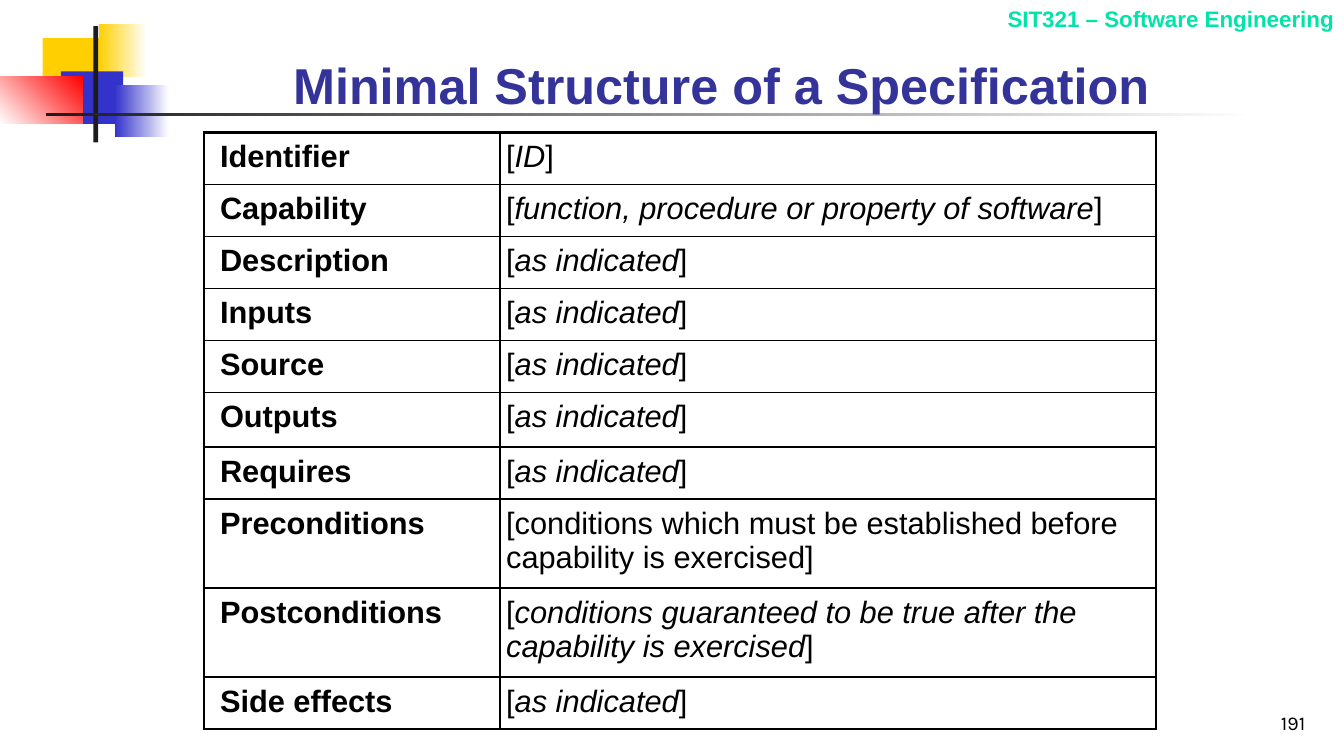
from dataclasses import dataclass

from lxml import etree
from pptx import Presentation
from pptx.dml import color as dml
from pptx.enum import text as enums
from pptx.enum import shapes
from pptx.oxml import ns
from pptx.slide import Slide
from pptx.table import _Cell
from pptx.text import text as words
from pptx.util import Pt


@dataclass(frozen=True)
class Theme:
    yellow: str = "FFCF01"
    blue: str = "3333CC"
    red: str = "FF0000"
    dark: str = "1C1C1C"
    white: str = "FFFFFF"
    black: str = "000000"
    course: str = "00E4A8"
    title: str = "333399"
    body_font: str = "Arial"
    number_font: str = "Karla"
    course_size: float = 16
    number_size: float = 14
    title_size: float = 36
    table_size: float = 22
    outer_border: float = 2.25
    inner_border: float = 1


@dataclass(frozen=True)
class Block:
    left: float
    top: float
    width: float
    height: float
    colors: tuple[str, ...]
    angle: float = 0


@dataclass(frozen=True)
class Label:
    left: float
    top: float
    width: float
    height: float
    text: str
    font: str
    size: float
    color: str
    bold: bool
    align: enums.PP_ALIGN
    anchor: enums.MSO_ANCHOR


@dataclass(frozen=True)
class Entry:
    name: str
    value: str = "as indicated"
    italic: bool = True
    height: float = 36.2


THEME = Theme()
RIGHT, LEFT = enums.PP_ALIGN.RIGHT, enums.PP_ALIGN.LEFT
TOP, BOTTOM = enums.MSO_ANCHOR.TOP, enums.MSO_ANCHOR.BOTTOM

BLOCKS = [
    Block(30.5, 27.2, 46, 37.5, (THEME.yellow,)),
    Block(70.5, 17.5, 34.5, 37.5, (THEME.yellow, THEME.white)),
    Block(43.5, 51, 44.5, 37.5, (THEME.blue,)),
    Block(82, 60.5, 38.5, 37.5, (THEME.blue, THEME.white)),
    Block(0, 54.5, 59, 33.5, (THEME.white, THEME.red), 45),
    Block(66.7, 18.7, 3.5, 83, (THEME.dark,)),
    Block(33, 80.6, 864, 2.2, (THEME.dark, THEME.white)),
]

LABELS = [
    Label(578, 0, 382, 26.6, "SIT321 – Software Engineering", THEME.body_font,
          THEME.course_size, THEME.course, True, RIGHT, TOP),
    Label(739.5, 492, 200, 36, "191", THEME.number_font,
          THEME.number_size, THEME.black, False, RIGHT, BOTTOM),
    Label(202.3, 31.7, 626.4, 54, "Minimal Structure of a Specification",
          THEME.body_font, THEME.title_size, THEME.title, True, LEFT, BOTTOM),
]

ENTRIES = [
    Entry("Identifier", "ID"),
    Entry("Capability", "function, procedure or property of software"),
    Entry("Description"),
    Entry("Inputs"),
    Entry("Source"),
    Entry("Outputs", height=38.9),
    Entry("Requires"),
    Entry("Preconditions",
          "conditions which must be established before capability is exercised",
          italic=False, height=60.3),
    Entry("Postconditions",
          "conditions guaranteed to be true after the capability is exercised",
          height=60.3),
    Entry("Side effects"),
]

TABLE_LEFT, TABLE_TOP = 145.7, 94.4
COLUMN_WIDTHS = (211.4, 468.7)
CELL_INSETS = (11.5, 4.5)


def style_font(font: words.Font, name: str, size: float, color: str, bold: bool) -> None:
    font.name = name
    font.size = Pt(size)
    font.bold = bold
    font.color.rgb = dml.RGBColor.from_string(color)


def draw_block(slide: Slide, block: Block) -> None:
    shape = slide.shapes.add_shape(
        shapes.MSO_SHAPE.RECTANGLE,
        Pt(block.left), Pt(block.top), Pt(block.width), Pt(block.height))
    shape.shadow.inherit = False
    shape.line.fill.background()
    if len(block.colors) == 1:
        shape.fill.solid()
        shape.fill.fore_color.rgb = dml.RGBColor.from_string(block.colors[0])
        return
    shape.fill.gradient()
    shape.fill.gradient_angle = block.angle
    for stop, color in zip(shape.fill.gradient_stops, block.colors):
        stop.color.rgb = dml.RGBColor.from_string(color)


def draw_label(slide: Slide, label: Label) -> None:
    text_frame = slide.shapes.add_textbox(
        Pt(label.left), Pt(label.top), Pt(label.width), Pt(label.height)).text_frame
    text_frame.word_wrap = True
    text_frame.vertical_anchor = label.anchor
    text_frame.text = label.text
    paragraph = text_frame.paragraphs[0]
    paragraph.alignment = label.align
    style_font(paragraph.runs[0].font, label.font, label.size, label.color, label.bold)


def set_borders(cell: _Cell, outer_sides: set[str]) -> None:
    properties = cell._tc.get_or_add_tcPr()
    for side in "LRTB":
        width = THEME.outer_border if side in outer_sides else THEME.inner_border
        line = etree.SubElement(properties, ns.qn(f"a:ln{side}"), w=str(Pt(width)))
        fill = etree.SubElement(line, ns.qn("a:solidFill"))
        etree.SubElement(fill, ns.qn("a:srgbClr"), val=THEME.black)


def fill_cell(cell: _Cell, parts: list[str], inset: float, bold: bool,
              outer_sides: set[str]) -> None:
    cell.margin_left, cell.margin_right = Pt(inset), Pt(0)
    cell.margin_top = cell.margin_bottom = Pt(5.4)
    set_borders(cell, outer_sides)
    cell.fill.background()
    paragraph = cell.text_frame.paragraphs[0]
    for index, part in enumerate(parts):
        run = paragraph.add_run()
        run.text = part
        style_font(run.font, THEME.body_font, THEME.table_size, THEME.black, bold)
        run.font.italic = index == 1


def draw_table(slide: Slide, entries: list[Entry]) -> None:
    table = slide.shapes.add_table(
        len(entries), len(COLUMN_WIDTHS), Pt(TABLE_LEFT), Pt(TABLE_TOP),
        Pt(sum(COLUMN_WIDTHS)), Pt(sum(entry.height for entry in entries))).table
    table.first_row = table.horz_banding = False
    for column, width in zip(table.columns, COLUMN_WIDTHS):
        column.width = Pt(width)
    for index, entry in enumerate(entries):
        table.rows[index].height = Pt(entry.height)
        edges = {"T"} if index == 0 else {"B"} if index == len(entries) - 1 else set()
        value = ["[", entry.value, "]"] if entry.italic else [f"[{entry.value}]"]
        fill_cell(table.cell(index, 0), [entry.name], CELL_INSETS[0], True, edges | {"L"})
        fill_cell(table.cell(index, 1), value, CELL_INSETS[1], False, edges | {"R"})


def main() -> None:
    presentation = Presentation()
    presentation.slide_width, presentation.slide_height = Pt(960), Pt(540)
    slide = presentation.slides.add_slide(presentation.slide_layouts[6])
    for block in BLOCKS:
        draw_block(slide, block)
    for label in LABELS:
        draw_label(slide, label)
    draw_table(slide, ENTRIES)
    presentation.save("out.pptx")


if __name__ == "__main__":
    main()
